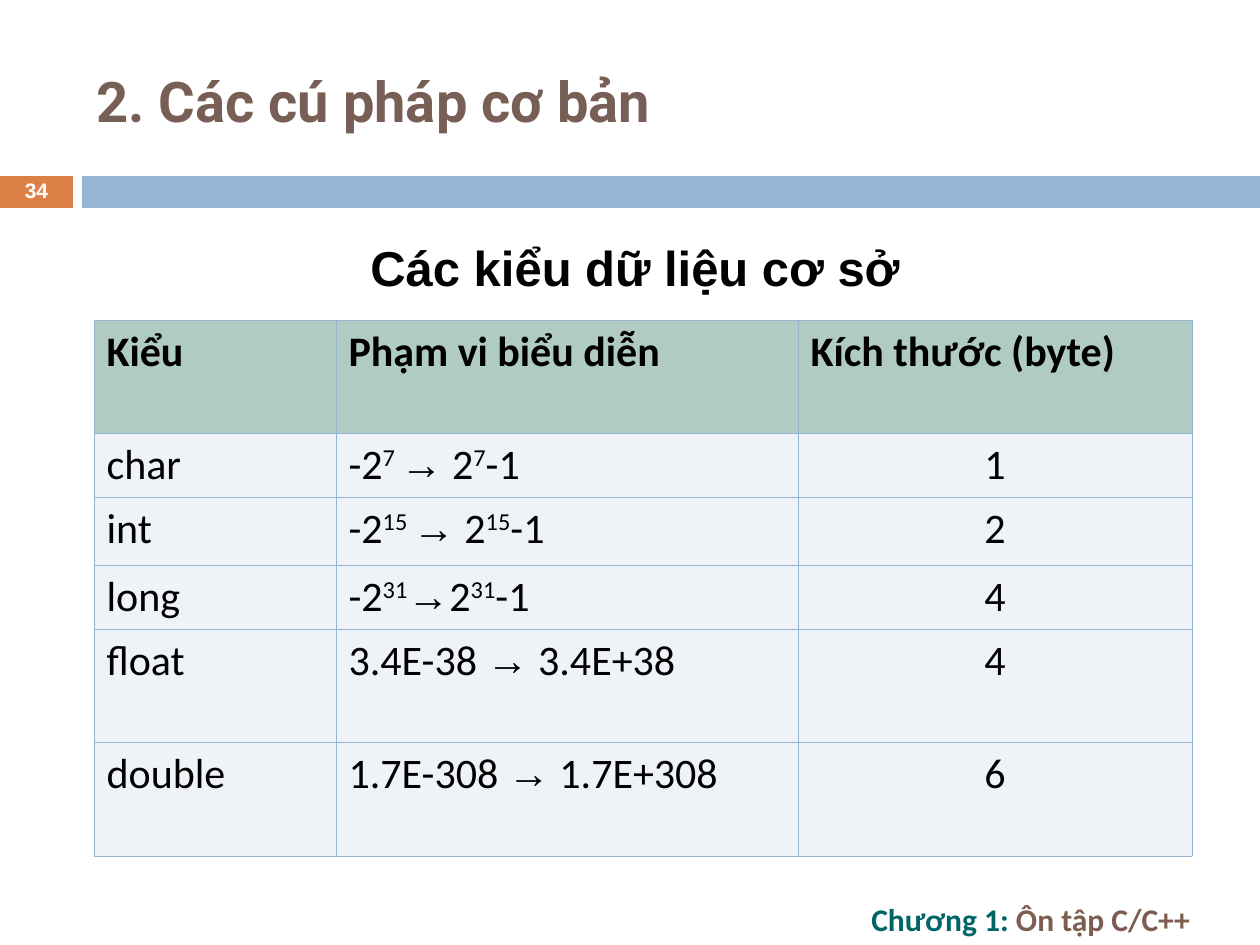
from dataclasses import dataclass

from lxml import etree
from pptx import Presentation
from pptx.dml.color import RGBColor
from pptx.enum.shapes import MSO_SHAPE
from pptx.enum.text import MSO_ANCHOR, PP_ALIGN
from pptx.oxml.ns import qn
from pptx.util import Emu, Pt

RECTANGLE = MSO_SHAPE.RECTANGLE
TOP, MIDDLE = MSO_ANCHOR.TOP, MSO_ANCHOR.MIDDLE
LEFT, CENTER = PP_ALIGN.LEFT, PP_ALIGN.CENTER


@dataclass(frozen=True)
class Theme:
    orange: str = "DD8047"
    blue: str = "94B6D2"
    header_fill: str = "B0CAC4"
    body_fill: str = "EFF3F7"
    brown: str = "775F55"
    footer_brown: str = "7C5D50"
    teal: str = "006565"
    black: str = "000000"
    white: str = "FFFFFF"
    title_font: str = "Roboto"
    body_font: str = "Calibri"
    plain_font: str = "Arial"
    title_size: int = 32
    heading_size: int = 28
    table_size: int = 24
    footer_size: int = 18
    number_size: int = 12
    border_width: float = 0.45


THEME = Theme()


def px(length):
    return Emu(round(length * 914400 / 126))


def add_run(paragraph, text, size, font, color, bold=False, raised=False):
    run = paragraph.add_run()
    run.text = text
    run.font.size = Pt(size)
    run.font.name = font
    run.font.bold = bold
    run.font.color.rgb = RGBColor.from_string(color)
    if raised:
        run.font._element.set("baseline", "30000")


def add_line(slide, box, align=LEFT, anchor=TOP):
    """Add a text box and return its only paragraph."""
    frame = slide.shapes.add_textbox(*map(px, box)).text_frame
    frame.word_wrap = True
    frame.vertical_anchor = anchor
    paragraph = frame.paragraphs[0]
    paragraph.alignment = align
    return paragraph


def add_bar(slide, box, color):
    bar = slide.shapes.add_shape(RECTANGLE, *map(px, box))
    bar.shadow.inherit = False
    bar.fill.solid()
    bar.fill.fore_color.rgb = RGBColor.from_string(color)
    bar.line.fill.background()


def add_title(slide, box):
    title = add_line(slide, box, anchor=MIDDLE)
    add_run(title, "2. Các cú pháp cơ bản", THEME.title_size,
            THEME.title_font, THEME.brown, bold=True)


def add_number_band(slide, box):
    left, top, width, height = box
    number_width, gap = 73, 9
    bar_offset = number_width + gap
    add_bar(slide, (left, top, number_width, height), THEME.orange)
    add_bar(slide, (left + bar_offset, top, width - bar_offset, height), THEME.blue)
    number = add_line(slide, (left, top - 1, number_width, height + 2), CENTER, MIDDLE)
    number.line_spacing = 0.8
    add_run(number, "34", THEME.number_size, THEME.plain_font, THEME.white, bold=True)


def add_heading(slide, box):
    heading = add_line(slide, box, CENTER)
    add_run(heading, "Các kiểu dữ liệu cơ sở", THEME.heading_size,
            THEME.plain_font, THEME.black, bold=True)


def power_range(exponent, gap=" "):
    """Runs of a signed integer range, each as (text, raised)."""
    return [("-2", False), (exponent + gap, True), ("→", False),
            (gap + "2", False), (exponent, True), ("-1", False)]


def decimal_range(low, high):
    return [(low + " ", False), ("→", False), (" " + high, False)]


def add_borders(cell):
    properties = cell._tc.get_or_add_tcPr()
    for side in ("a:lnL", "a:lnR", "a:lnT", "a:lnB"):
        line = etree.SubElement(properties, qn(side), w=str(Pt(THEME.border_width)))
        fill = etree.SubElement(line, qn("a:solidFill"))
        etree.SubElement(fill, qn("a:srgbClr"), val=THEME.blue)


def fill_cell(cell, runs, color, align, bold):
    add_borders(cell)
    cell.fill.solid()
    cell.fill.fore_color.rgb = RGBColor.from_string(color)
    paragraph = cell.text_frame.paragraphs[0]
    paragraph.alignment = align
    for text, raised in runs:
        font = THEME.plain_font if text == "→" else THEME.body_font
        add_run(paragraph, text, THEME.table_size, font, THEME.black, bold, raised)


def add_type_table(slide, box):
    header = ("Kiểu", [("Phạm vi biểu diễn", False)], "Kích thước (byte)")
    data_types = [
        ("char", power_range("7"), "1"),
        ("int", power_range("15"), "2"),
        ("long", power_range("31", gap=""), "4"),
        ("float", decimal_range("3.4E-38", "3.4E+38"), "4"),
        ("double", decimal_range("1.7E-308", "1.7E+308"), "6"),
    ]
    column_widths = (242, 462, 394)
    row_heights = (113, 64, 68, 64, 113, 114)
    rows = [header] + data_types
    table = slide.shapes.add_table(len(rows), len(header), *map(px, box)).table
    table.first_row = table.horz_banding = False
    for column, width in zip(table.columns, column_widths):
        column.width = px(width)
    for row, height in zip(table.rows, row_heights):
        row.height = px(height)

    for r, (name, value_range, size) in enumerate(rows):
        is_header = r == 0
        color = THEME.header_fill if is_header else THEME.body_fill
        size_align = LEFT if is_header else CENTER
        fill_cell(table.cell(r, 0), [(name, False)], color, LEFT, is_header)
        fill_cell(table.cell(r, 1), value_range, color, LEFT, is_header)
        fill_cell(table.cell(r, 2), [(size, False)], color, size_align, is_header)


def add_footer(slide, box):
    footer = add_line(slide, box, anchor=MIDDLE)
    for text, color in (("Chương 1: ", THEME.teal), ("Ôn tập C/C++", THEME.footer_brown)):
        add_run(footer, text, THEME.footer_size, THEME.body_font, color, bold=True)


def main():
    presentation = Presentation()
    presentation.slide_width, presentation.slide_height = px(1260), px(945)
    slide = presentation.slides.add_slide(presentation.slide_layouts[6])
    # Top: chapter section title and slide number
    add_number_band(slide, (0, 176, 1260, 32))
    add_title(slide, (84, 32, 1124, 136))
    # Middle: data types
    add_heading(slide, (84, 231, 1102, 72))
    add_type_table(slide, (94, 320, 1098, 536))
    # Bottom: chapter name
    add_footer(slide, (859, 892, 401, 53))
    presentation.save("out.pptx")


if __name__ == "__main__":
    main()
